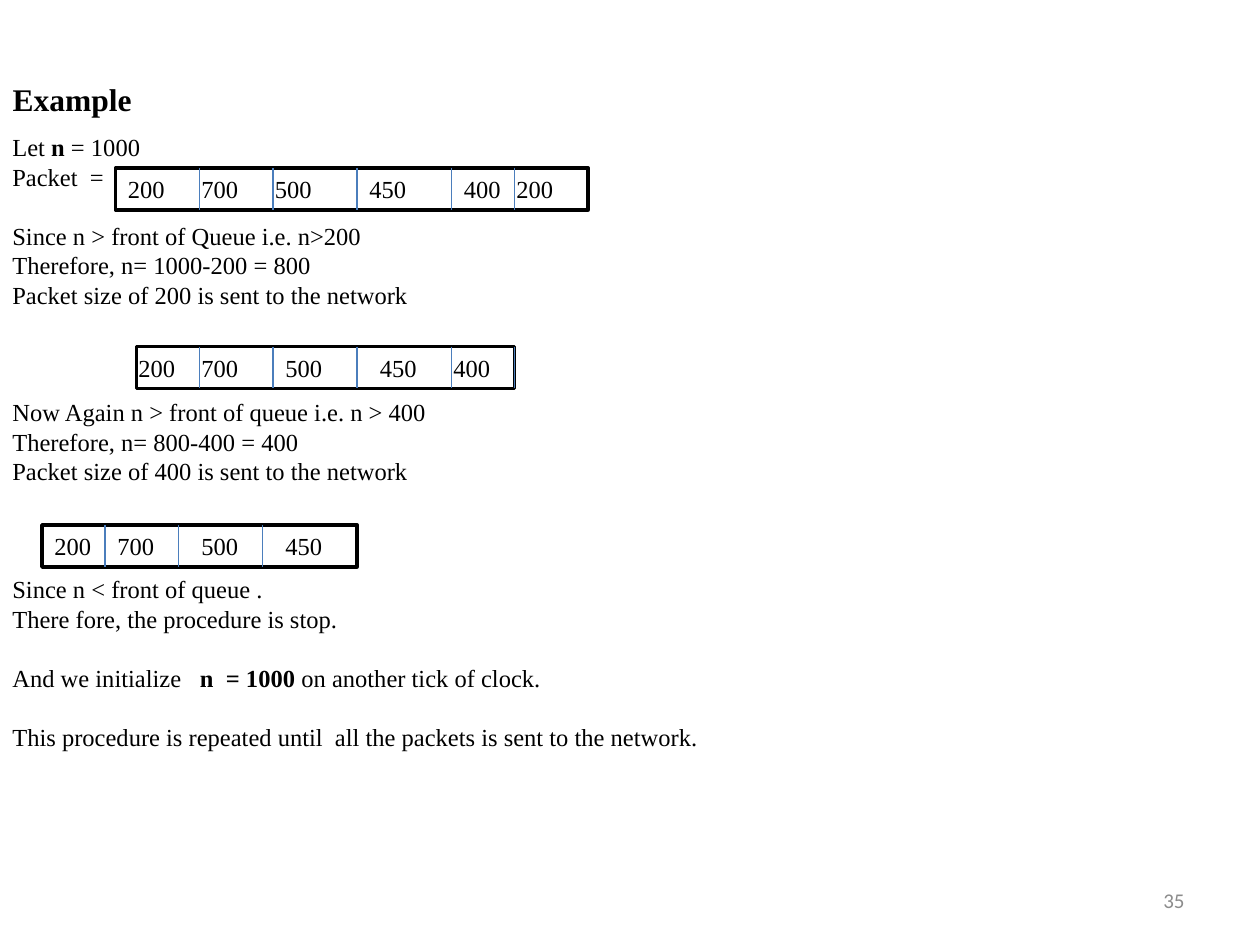
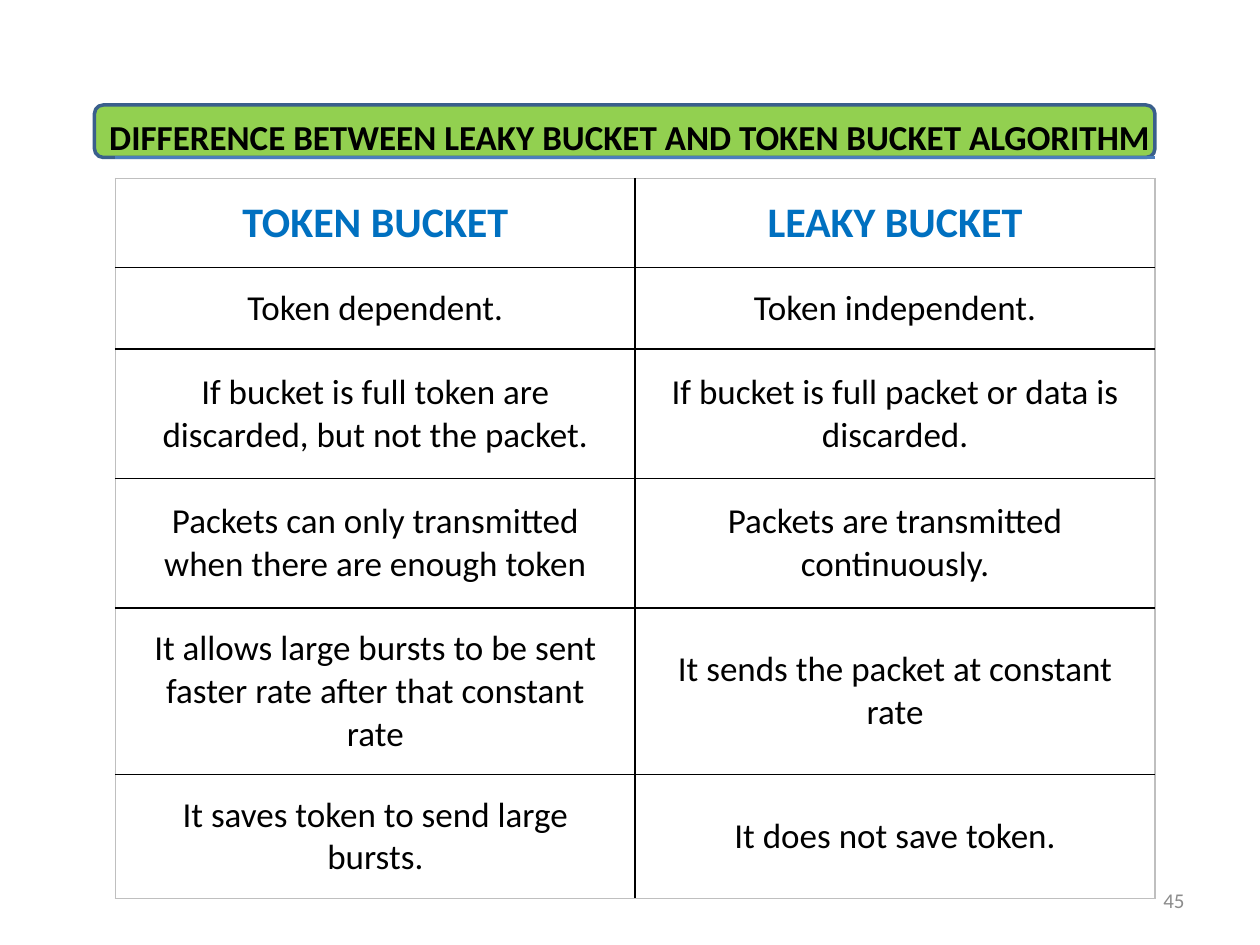
"""Build two slides on the token bucket: a worked example and a comparison."""
from pptx import Presentation
from pptx import util as u
from pptx.dml import color as hue
from pptx.enum import shapes, text
from lxml import etree

Pt = u.Pt
ALIGN, ANCHOR = text.PP_ALIGN, text.MSO_ANCHOR
THEME = {
    "ink": "000000", "paper": "FFFFFF", "blue": "4B7EBC", "navy": "3A5F8C",
    "green": "92D050", "head": "0070C0", "gray": "8C8C8C", "edge": "BFBFBF",
    "serif": "Times New Roman", "sans": "Calibri",
    "small": 12, "text": 14, "title": 18, "cell": 20, "top": 24, "pitch": 16.85,
}
rgb = {k: hue.RGBColor.from_string(v) for k, v in THEME.items()
       if isinstance(v, str) and len(v) == 6}


def write(frame, lines, look, ink="ink", form=None, **box):
    """Fill a frame with (gap, runs) lines, where a run is (words, bold)."""
    box = {"word_wrap": True, "auto_size": text.MSO_AUTO_SIZE.NONE, **box}
    for key, val in box.items():
        setattr(frame, key, val)
    for num, (gap, runs) in enumerate(lines):
        para = frame.add_paragraph() if num else frame.paragraphs[0]
        for key, val in {"space_before": Pt(gap), **(form or {})}.items():
            setattr(para, key, val)
        for words, bold in runs:
            run = para.add_run()
            run.text = words
            for key, val in {**look, "bold": bold}.items():
                setattr(run.font, key, val)
            run.font.color.rgb = rgb[ink]


def rule(slide, ends, width):
    """Draw a plain blue line between two points."""
    line = slide.shapes.add_connector(shapes.MSO_CONNECTOR.STRAIGHT, *map(Pt, ends))
    line.line.color.rgb, line.line.width = rgb["blue"], Pt(width)
    props = line.element.spPr
    etree.SubElement(props, props.nsmap["a"].join("{}") + "effectLst")


deck = Presentation()
deck.slide_width, deck.slide_height = Pt(720), Pt(540)
body = {"name": THEME["serif"], "size": Pt(THEME["text"])}
cap = {"name": THEME["serif"], "size": Pt(THEME["title"])}
sans = {"name": THEME["sans"], "size": Pt(THEME["cell"])}
tight = {"line_spacing": Pt(THEME["pitch"]), "alignment": ALIGN.LEFT}
mid = {"alignment": ALIGN.CENTER}

heads = [
    ("Example", 35, (0, 42, 720, 27), cap, ALIGN.LEFT, ANCHOR.TOP),
    ("DIFFERENCE BETWEEN LEAKY BUCKET AND TOKEN BUCKET ALGORITHM", 45,
     (0, 63, 720, 30), sans, ALIGN.CENTER, ANCHOR.MIDDLE),
]
pages = []
for words, num, spot, look, side, hold in heads:
    page = deck.slides.add_slide(deck.slide_layouts[5])
    title = page.shapes.title
    for key, val in zip(("left", "top", "width", "height"), spot):
        setattr(title, key, Pt(val))
    write(title.text_frame, [(0, [(words, True)])], look,
          form={"alignment": side}, vertical_anchor=hold)
    foot = page.shapes.add_textbox(*map(Pt, (516, 500, 168, 29)))
    write(foot.text_frame, [(0, [(str(num), False)])],
          {**sans, "size": Pt(THEME["small"])}, "gray",
          {"alignment": ALIGN.RIGHT}, vertical_anchor=ANCHOR.MIDDLE)
    pages.append(page)
demo, match = pages

steps = [
    (0, [("Let ", False), ("n", True), (" = 1000", False)]),
    (0, [("Packet  =", False)]),
    (1, [("Since n > front of Queue i.e. n>200", False)]),
    (0, [("Therefore, n= 1000-200 = 800", False)]),
    (0, [("Packet size of 200 is sent to the network", False)]),
    (3, [("Now Again n > front of queue i.e. n > 400", False)]),
    (0, [("Therefore, n= 800-400 = 400", False)]),
    (0, [("Packet size of 400 is sent to the network", False)]),
    (3, [("Since n < front of queue .", False)]),
    (0, [("There fore, the procedure is stop.", False)]),
    (1, [("And we initialize  ", False), (" n  = 1000", True),
         (" on another tick of clock.", False)]),
    (1, [("This procedure is repeated until  all the packets is sent to the network.", False)]),
]
story = demo.shapes.add_textbox(*map(Pt, (0, 72, 720, 415)))
write(story.text_frame, [(gap * THEME["pitch"], runs) for gap, runs in steps],
      body, form=tight)

sizes = [200, 700, 500, 450, 400, 200]
queues = [
    (96, 66, 270, (114, 156, 204, 258, 294), (66, 108, 150, 204, 258, 288)),
    (198, 78, 216, (114, 156, 204, 258, 294), (72, 108, 156, 210, 252)),
    (300, 24, 180, (60, 102, 150), (24, 60, 108, 156)),
]
for top, left, wide, cuts, spots in queues:
    queue = demo.shapes.add_shape(shapes.MSO_SHAPE.RECTANGLE,
                                  *map(Pt, (left, top, wide, 24)))
    queue.shadow.inherit = False
    queue.fill.solid()
    queue.fill.fore_color.rgb = rgb["paper"]
    queue.line.color.rgb, queue.line.width = rgb["ink"], Pt(2)
    for cut in cuts:
        rule(demo, (cut, top, cut, top + 24), 0.75)
    for spot, size in zip(spots, sizes):
        tag = demo.shapes.add_textbox(*map(Pt, (spot, top, 50, 24)))
        write(tag.text_frame, [(0, [(str(size), False)])], body, form=tight)

band = match.shapes.add_shape(shapes.MSO_SHAPE.ROUNDED_RECTANGLE,
                              *map(Pt, (54, 60, 606, 30)))
band.shadow.inherit = False
band.fill.solid()
band.fill.fore_color.rgb = rgb["green"]
band.line.color.rgb, band.line.width = rgb["navy"], Pt(2)
match.shapes.title.element.addprevious(band.element)

rows = [
    (51, "TOKEN BUCKET", "LEAKY BUCKET"),
    (46.5, "Token dependent.", "Token independent."),
    (74, "If bucket is full token are discarded, but not the packet.",
     "If bucket is full packet or data is discarded."),
    (74, "Packets can only transmitted when there are enough token",
     "Packets are transmitted continuously."),
    (95, "It allows large bursts to be sent faster rate after that constant rate",
     "It sends the packet at constant rate"),
    (71, "It saves token to send large bursts.", "It does not save token."),
]
grid = match.shapes.add_table(len(rows), 2, *map(Pt, (66, 102, 594, 411.5))).table
grid.first_row = grid.horz_banding = False
pad = {"margin_" + side: Pt(10.8) for side in ("left", "right", "top", "bottom")}
for r, (tall, *pair) in enumerate(rows):
    grid.rows[r].height = Pt(tall)
    for c, words in enumerate(pair):
        cell = grid.cell(r, c)
        for key, val in {**pad, "vertical_anchor": ANCHOR.MIDDLE}.items():
            setattr(cell, key, val)
        look = {**sans, "size": Pt(THEME["cell" if r else "top"])}
        write(cell.text_frame, [(0, [(words, r == 0)])], look,
              "ink" if r else "head", mid)
        props = cell._tc.get_or_add_tcPr()
        space = props.nsmap["a"].join("{}")
        outer = {"L": c == 0, "R": c == 1, "T": r == 0, "B": r == len(rows) - 1}
        for side, out in outer.items():
            line = etree.SubElement(props, space + "ln" + side, w=str(Pt(0.75 if out else 1)))
            fill = etree.SubElement(line, space + "solidFill")
            etree.SubElement(fill, space + "srgbClr", val=THEME["edge" if out else "ink"])
        cell.fill.background()
rule(match, (66, 90, 660, 90), 2.25)

deck.save("out.pptx")
